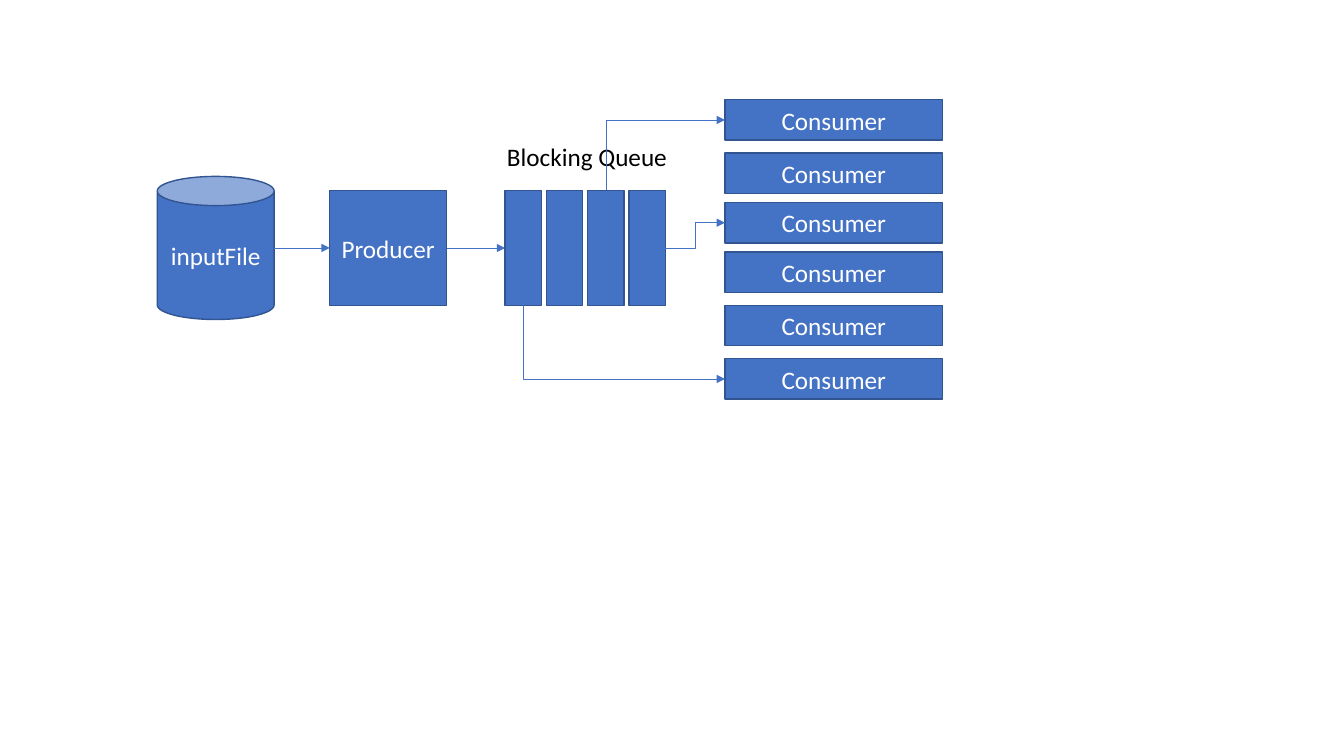
from lxml import etree
from pptx import Presentation
from pptx.dml.color import RGBColor
from pptx.enum.shapes import MSO_CONNECTOR as CONNECTOR, MSO_SHAPE as SHAPE
from pptx.enum.text import MSO_ANCHOR as ANCHOR, MSO_AUTO_SIZE as AUTO_SIZE, PP_ALIGN as ALIGN
from pptx.oxml.ns import qn
from pptx.util import Inches, Pt

BLUE = RGBColor(0x44, 0x72, 0xC4)
DARK_BLUE = RGBColor(0x32, 0x54, 0x91)
WHITE = RGBColor(0xFF, 0xFF, 0xFF)
BLACK = RGBColor(0x00, 0x00, 0x00)

FONT_FORMAT = {"name": "Calibri", "size": Pt(18)}
BOX_FRAME_FORMAT = {"vertical_anchor": ANCHOR.MIDDLE, "word_wrap": True}
LABEL_FRAME_FORMAT = {"word_wrap": False, "auto_size": AUTO_SIZE.SHAPE_TO_FIT_TEXT}

TOP, LEFT, BOTTOM, RIGHT = range(4)
QUEUE_LEFT, QUEUE_STEP, QUEUE_SLOTS = 5.01, 0.41, 4
CONSUMER_TOPS = [0.99, 1.52, 2.01, 2.5, 3.03, 3.56]


def apply_format(target, values):
    for name, value in values.items():
        setattr(target, name, value)


def write_text(shape, text, color, alignment, frame_format):
    frame = shape.text_frame
    apply_format(frame, frame_format)
    paragraph = frame.paragraphs[0]
    paragraph.alignment = alignment
    run = paragraph.add_run()
    run.text = text
    apply_format(run.font, FONT_FORMAT)
    run.font.color.rgb = color


def add_box(slide, kind, left, top, width, height, text=""):
    shape = slide.shapes.add_shape(kind, *map(Inches, (left, top, width, height)))
    shape.shadow.inherit = False
    shape.fill.solid()
    shape.fill.fore_color.rgb = BLUE
    shape.line.color.rgb = DARK_BLUE
    shape.line.width = Pt(1)
    if text:
        write_text(shape, text, WHITE, ALIGN.CENTER, BOX_FRAME_FORMAT)
    return shape


def add_label(slide, left, top, width, height, text):
    label = slide.shapes.add_textbox(*map(Inches, (left, top, width, height)))
    write_text(label, text, BLACK, ALIGN.LEFT, LABEL_FRAME_FORMAT)


def add_arrow(slide, kind, begin_x, begin_y, end_x, end_y):
    arrow = slide.shapes.add_connector(kind, begin_x, begin_y, end_x, end_y)
    arrow.line.color.rgb = BLUE
    arrow.line.width = Pt(0.5)
    properties = arrow._element.spPr
    line = properties.find(qn("a:ln"))
    etree.SubElement(line, qn("a:tailEnd"), type="triangle")
    etree.SubElement(properties, qn("a:effectLst"))
    return arrow


def add_side_arrow(slide, kind, source, target):
    arrow = add_arrow(
        slide, kind,
        source.left + source.width, source.top + source.height // 2,
        target.left, target.top + target.height // 2,
    )
    if source.auto_shape_type == SHAPE.RECTANGLE:
        arrow.begin_connect(source, RIGHT)
    arrow.end_connect(target, LEFT)


def add_corner_arrow(slide, source, target):
    middle = target.top + target.height // 2
    downward = middle > source.top
    begin_x = source.left + source.width // 2
    begin_y = source.top + source.height if downward else source.top
    center_x = (begin_x + target.left) // 2
    center_y = (begin_y + middle) // 2
    half_width = abs(middle - begin_y) // 2
    half_height = (target.left - begin_x) // 2
    if downward:
        half_height = -half_height
    arrow = add_arrow(
        slide, CONNECTOR.ELBOW,
        center_x + half_width, center_y + half_height,
        center_x - half_width, center_y - half_height,
    )
    properties = arrow._element.spPr
    properties.find(qn("a:prstGeom")).set("prst", "bentConnector2")
    degrees = 270 if downward else 90
    properties.find(qn("a:xfrm")).set("rot", str(degrees * 60000))


def main():
    presentation = Presentation()
    presentation.slide_width = Inches(13.33)
    presentation.slide_height = Inches(7.5)
    slide = presentation.slides.add_slide(presentation.slide_layouts[6])

    input_file = add_box(slide, SHAPE.CAN, 1.56, 1.75, 1.16, 1.42, "inputFile")
    producer = add_box(slide, SHAPE.RECTANGLE, 3.27, 1.89, 1.16, 1.14, "Producer")
    queue = [
        add_box(slide, SHAPE.RECTANGLE, QUEUE_LEFT + QUEUE_STEP * slot, 1.89, 0.36, 1.14)
        for slot in range(QUEUE_SLOTS)
    ]
    add_label(slide, 4.93, 1.35, 1.81, 0.4, "Blocking Queue")
    consumers = [
        add_box(slide, SHAPE.RECTANGLE, 7.19, top, 2.16, 0.4, "Consumer")
        for top in CONSUMER_TOPS
    ]

    add_side_arrow(slide, CONNECTOR.STRAIGHT, input_file, producer)
    add_side_arrow(slide, CONNECTOR.STRAIGHT, producer, queue[0])
    add_corner_arrow(slide, queue[0], consumers[-1])
    add_corner_arrow(slide, queue[2], consumers[0])
    add_side_arrow(slide, CONNECTOR.ELBOW, queue[-1], consumers[2])

    presentation.save("out.pptx")


if __name__ == "__main__":
    main()
